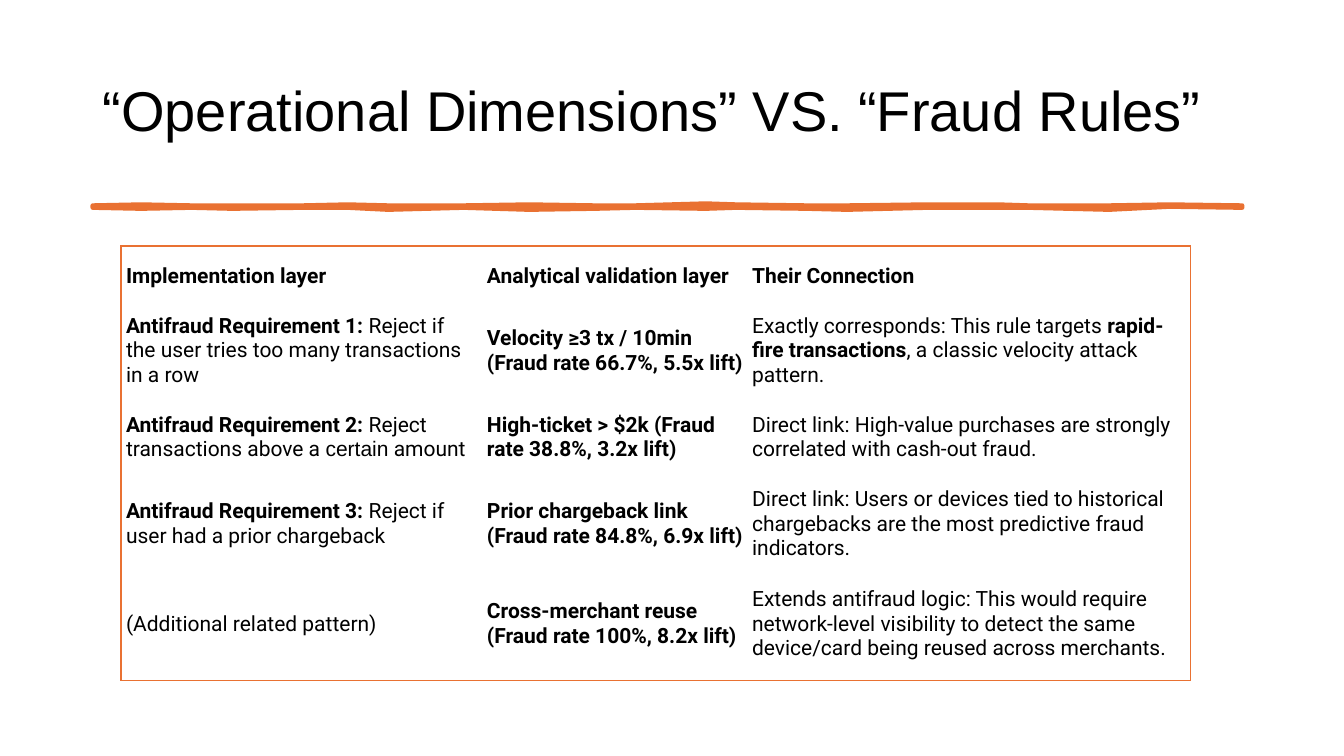
import pptx
import pptx.dml.color
import pptx.enum.text
import pptx.oxml
import pptx.oxml.ns
import pptx.util
from pptx.util import Inches

ORANGE = "E97132"
BLACK = "000000"
BODY_FONT = "Roboto"
TITLE_FONT = "Arial"
MIDDLE = pptx.enum.text.MSO_ANCHOR.MIDDLE

# Stations along the brush stroke: x, upper edge, lower edge
STROKE = [
    (0.92, 2.04, 2.06), (1.4, 2.03, 2.07), (1.9, 2.04, 2.06), (2.3, 2.04, 2.07),
    (3.0, 2.04, 2.06), (3.45, 2.03, 2.06), (3.85, 2.04, 2.08), (4.6, 2.04, 2.06),
    (5.25, 2.03, 2.08), (5.9, 2.04, 2.07), (6.3, 2.04, 2.06), (7.0, 2.02, 2.07),
    (7.3, 2.03, 2.06), (8.0, 2.04, 2.07), (8.4, 2.04, 2.08), (9.2, 2.03, 2.06),
    (9.9, 2.03, 2.06), (10.2, 2.04, 2.06), (11.0, 2.04, 2.08), (11.6, 2.03, 2.05),
    (12.32, 2.04, 2.06),
]
COLUMN_WIDTHS = [3.58, 2.63, 4.4]
ROW_HEIGHTS = [0.61, 0.86, 0.86, 0.86, 1.12]


def color(hex_string):
    return pptx.dml.color.RGBColor.from_string(hex_string)


def bold(text):
    return text, True, BODY_FONT


def plain(text, font=BODY_FONT):
    return text, False, font


# Each cell is a list of runs
ROWS = [
    [
        [bold("Implementation layer")],
        [bold("Analytical validation layer")],
        [bold("Their Connection")],
    ],
    [
        [bold("Antifraud Requirement 1:"),
         plain(" Reject if the user tries too many transactions in a row")],
        [bold("Velocity ≥3 tx / 10min (Fraud rate 66.7%, 5.5x lift)")],
        [plain("Exactly corresponds: This rule targets "),
         bold("rapid-fire transactions"),
         plain(", a classic velocity attack pattern.")],
    ],
    [
        [bold("Antifraud Requirement 2:"), plain(" Reject transactions above a "),
         plain("certain", TITLE_FONT), plain(" amount")],
        [bold("High-ticket > $2k (Fraud rate 38.8%, 3.2x lift)")],
        [plain("Direct link: High-value purchases are strongly correlated "
               "with cash-out fraud.")],
    ],
    [
        [bold("Antifraud Requirement 3:"), plain(" Reject if user had a prior chargeback")],
        [bold("Prior chargeback link (Fraud rate 84.8%, 6.9x lift)")],
        [plain("Direct link: Users or devices tied to historical chargebacks "
               "are the most predictive fraud indicators.")],
    ],
    [
        [plain("(Additional related pattern)")],
        [bold("Cross-merchant reuse (Fraud rate 100%, 8.2x lift)")],
        [plain("Extends antifraud logic: This would require network-level visibility "
               "to detect the same device/card being reused across merchants.")],
    ],
]


class SlideBuilder:
    def __init__(self, slide):
        self.slide = slide

    def title(self, text, left, top, width, height):
        box = self.slide.shapes.add_textbox(
            Inches(left), Inches(top), Inches(width), Inches(height))
        frame = box.text_frame
        frame.word_wrap = True
        frame.vertical_anchor = MIDDLE
        paragraph = frame.paragraphs[0]
        paragraph.text = text
        paragraph.line_spacing = 0.9
        self.style(paragraph.font, 40, TITLE_FONT)

    def style(self, font, size, name=None):
        font.size = pptx.util.Pt(size)
        font.color.rgb = color(BLACK)
        if name:
            font.name = name

    def brush_stroke(self, stations):
        upper = [(x, top) for x, top, _ in stations]
        lower = [(x, bottom) for x, _, bottom in reversed(stations)]
        start, *rest = [(Inches(x), Inches(y)) for x, y in upper + lower]
        builder = self.slide.shapes.build_freeform(*start)
        builder.add_line_segments(rest, close=True)
        shape = builder.convert_to_shape()
        shape.shadow.inherit = False
        shape.fill.solid()
        shape.fill.fore_color.rgb = color(ORANGE)
        shape.line.color.rgb = color(ORANGE)
        shape.line.width = pptx.util.Pt(3.25)
        shape.line._get_or_add_ln().append(
            pptx.oxml.parse_xml(f'<a:round {pptx.oxml.ns.nsdecls("a")}/>'))

    def framed_table(self, rows, left, top, widths, heights):
        """Add a table with a line around its outside only."""
        table = self.slide.shapes.add_table(
            len(rows), len(widths), Inches(left), Inches(top),
            Inches(sum(widths)), Inches(sum(heights))).table
        table.first_row = False
        table.horz_banding = False
        for column, width in zip(table.columns, widths):
            column.width = Inches(width)
        for row, height in zip(table.rows, heights):
            row.height = Inches(height)
        for i, row in enumerate(rows):
            for j, runs in enumerate(row):
                cell = table.cell(i, j)
                self.fill_cell(cell, runs)
                self.cell_borders(cell, L=j == 0, R=j == len(widths) - 1,
                                  T=i == 0, B=i == len(rows) - 1)

    def fill_cell(self, cell, runs):
        cell.fill.background()
        cell.vertical_anchor = MIDDLE
        cell.margin_left = Inches(0.05)
        cell.margin_right = Inches(0.03)
        cell.margin_top = cell.margin_bottom = Inches(0.02)
        paragraph = cell.text_frame.paragraphs[0]
        fonts = {font for _, _, font in runs}
        self.style(paragraph.font, 15, BODY_FONT if len(fonts) == 1 else None)
        for text, is_bold, font in runs:
            run = paragraph.add_run()
            run.text = text
            run.font.bold = is_bold
            if len(fonts) > 1:
                run.font.name = font

    def cell_borders(self, cell, **sides):
        properties = cell._tc.get_or_add_tcPr()
        for index, (side, visible) in enumerate(sides.items()):
            paint = (f'<a:solidFill><a:srgbClr val="{ORANGE}"/></a:solidFill>'
                     if visible else "<a:noFill/>")
            properties.insert(index, pptx.oxml.parse_xml(
                f'<a:ln{side} {pptx.oxml.ns.nsdecls("a")} w="12700">{paint}</a:ln{side}>'))


def main():
    presentation = pptx.Presentation()
    presentation.slide_width = Inches(13.33)
    presentation.slide_height = Inches(7.5)
    builder = SlideBuilder(presentation.slides.add_slide(presentation.slide_layouts[6]))
    builder.title("“Operational Dimensions” VS. “Fraud Rules”", 0.92, 0.4, 11.5, 1.45)
    builder.brush_stroke(STROKE)
    builder.framed_table(ROWS, 1.2, 2.44, COLUMN_WIDTHS, ROW_HEIGHTS)
    presentation.save("out.pptx")


if __name__ == "__main__":
    main()
